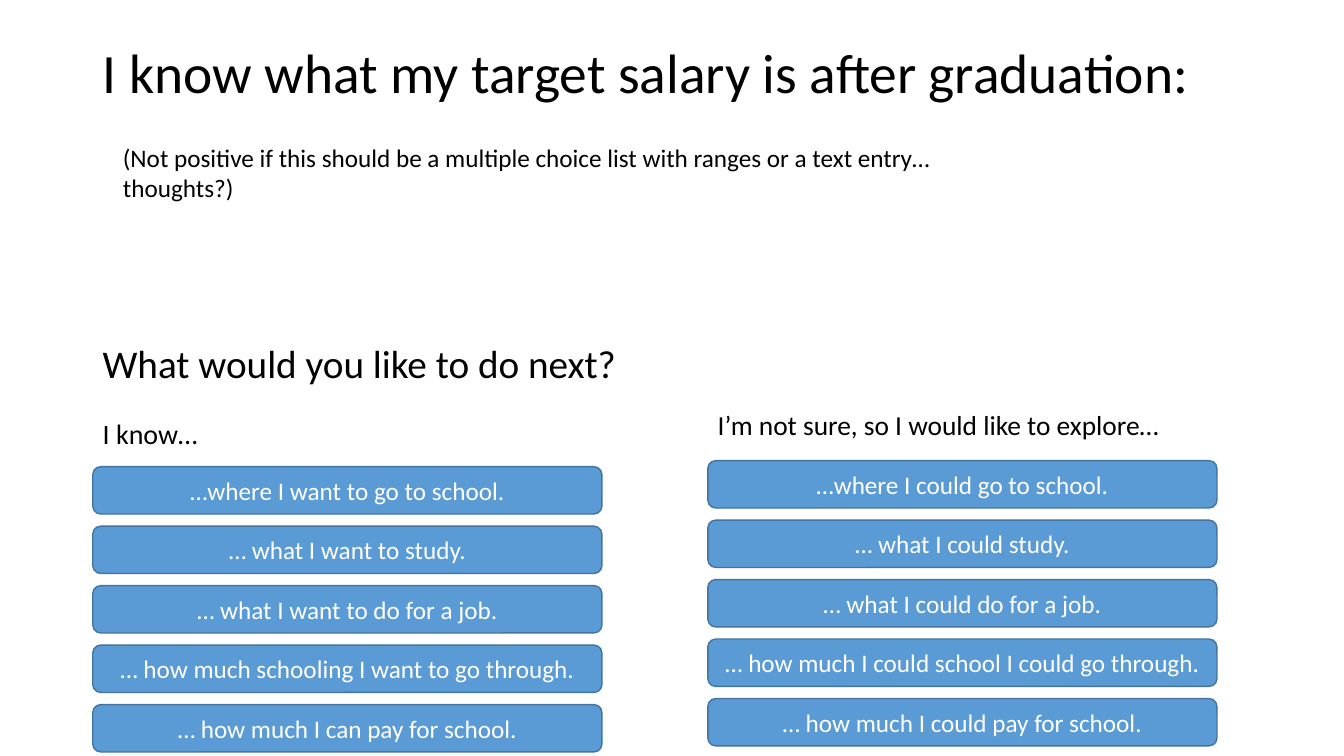
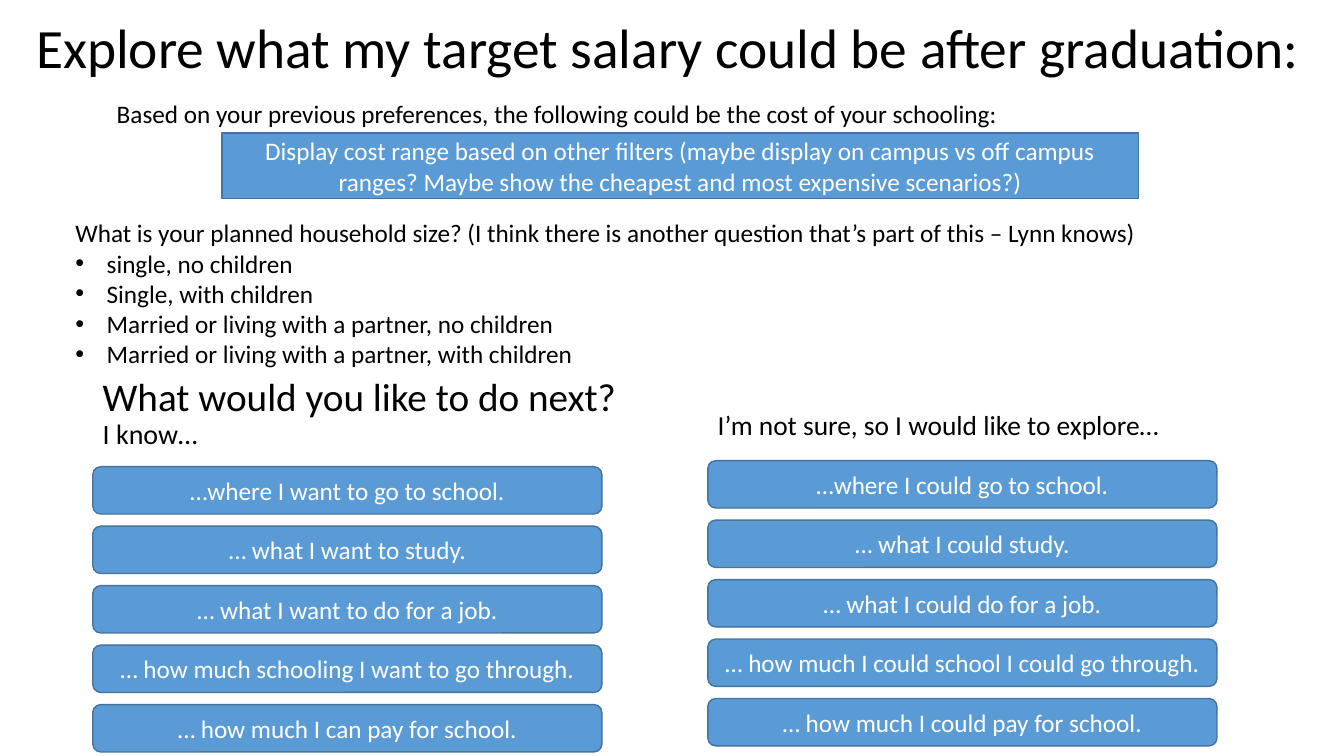
from dataclasses import dataclass

from lxml.etree import SubElement
from pptx import Presentation
from pptx.dml.color import RGBColor
from pptx.enum.shapes import MSO_SHAPE
from pptx.enum.text import MSO_ANCHOR, PP_ALIGN
from pptx.oxml.ns import qn
from pptx.util import Inches, Pt


@dataclass(frozen=True)
class Theme:
    """Colours, font and type sizes shared by the slides."""
    font: str = "Calibri"
    text: str = "000000"
    on_fill: str = "FFFFFF"
    fill: str = "5B9BD5"
    outline: str = "43739E"
    title: float = 39.6
    heading: float = 28
    know: float = 20
    explore: float = 19.6
    body: float = 18


THEME = Theme()

NEXT_HEADING = "What would you like to do next?"
KNOW_LABEL = "I know…"
EXPLORE_LABEL = "I’m not sure, so I would like to explore…"
KNOW_CHOICES = [
    "…where I want to go to school.",
    "… what I want to study.",
    "… what I want to do for a job.",
    "… how much schooling I want to go through.",
    "… how much I can pay for school.",
]
EXPLORE_CHOICES = [
    "…where I could go to school.",
    "… what I could study.",
    "… what I could do for a job.",
    "… how much I could school I could go through.",
    "… how much I could pay for school.",
]

KNOW_TITLE = "I know what my target salary is after graduation:"
ENTRY_NOTE = ("(Not positive if this should be a multiple choice list with "
              "ranges or a text entry… thoughts?)")

EXPLORE_TITLE = "Explore what my target salary could be after graduation:"
COST_INTRO = ("Based on your previous preferences, the following could be "
              "the cost of your schooling:")
COST_RANGE = ("Display cost range based on other filters (maybe display on "
              "campus vs off campus ranges? Maybe show the cheapest and most "
              "expensive scenarios?)")
HOUSEHOLD_QUESTION = ("What is your planned household size? (I think there is "
                      "another question that’s part of this – Lynn knows)")
HOUSEHOLD_OPTIONS = [
    "single, no children",
    "Single, with children",
    "Married or living with a partner, no children",
    "Married or living with a partner, with children",
]

LEFT_COLUMN, RIGHT_COLUMN = 0.92, 7.02
LABEL_SIZE = (4.69, 0.51)
BUTTON_SIZE = (5.05, 0.47)
BUTTON_STEP = 0.59
BULLET_INDENT = 0.31


def add_span(para, text, size, color):
    """Add one run of text in the theme font."""
    span = para.add_run()
    span.text = text
    span.font.name = THEME.font
    span.font.size = Pt(size)
    span.font.color.rgb = RGBColor.from_string(color)


def add_text(page, place, text, size, spacing=None, before=None,
             anchor=MSO_ANCHOR.TOP):
    """Add a wrapping text box with one paragraph; return its frame."""
    frame = page.shapes.add_textbox(*map(Inches, place)).text_frame
    frame.word_wrap = True
    frame.vertical_anchor = anchor
    para = frame.paragraphs[0]
    if spacing:
        para.line_spacing = spacing
    if before:
        para.space_before = Pt(before)
    add_span(para, text, size, THEME.text)
    return frame


def add_bullet(frame, text):
    """Append a bulleted paragraph to a text frame."""
    para = frame.add_paragraph()
    properties = para._p.get_or_add_pPr()
    properties.set("marL", str(Inches(BULLET_INDENT)))
    properties.set("indent", str(-Inches(BULLET_INDENT)))
    SubElement(properties, qn("a:buFont")).set("typeface", "Arial")
    SubElement(properties, qn("a:buChar")).set("char", "•")
    add_span(para, text, THEME.body, THEME.text)


def add_panel(page, preset, place, text):
    """Add a filled shape with centred text."""
    box = page.shapes.add_shape(preset, *map(Inches, place))
    box.shadow.inherit = False
    box.fill.solid()
    box.fill.fore_color.rgb = RGBColor.from_string(THEME.fill)
    box.line.color.rgb = RGBColor.from_string(THEME.outline)
    box.line.width = Pt(1)
    box.text_frame.word_wrap = True
    box.text_frame.vertical_anchor = MSO_ANCHOR.MIDDLE
    para = box.text_frame.paragraphs[0]
    para.alignment = PP_ALIGN.CENTER
    add_span(para, text, THEME.body, THEME.on_fill)


def add_buttons(page, left, top, choices):
    """Stack a column of equally spaced buttons."""
    for row, choice in enumerate(choices):
        place = (left, top + row * BUTTON_STEP, *BUTTON_SIZE)
        add_panel(page, MSO_SHAPE.ROUNDED_RECTANGLE, place, choice)


def add_page(deck, title, title_place, heading_top):
    """Add a slide with its title and the shared next-step choices."""
    page = deck.slides.add_slide(deck.slide_layouts[6])
    add_text(page, title_place, title, THEME.title, 0.9,
             anchor=MSO_ANCHOR.MIDDLE)
    add_text(page, (LEFT_COLUMN, heading_top, 11.5, 0.67), NEXT_HEADING,
             THEME.heading, 0.9, 10)
    add_text(page, (LEFT_COLUMN, 4.12, *LABEL_SIZE), KNOW_LABEL,
             THEME.know, 0.9, 10)
    add_text(page, (RIGHT_COLUMN, 4.09, *LABEL_SIZE), EXPLORE_LABEL,
             THEME.explore, 0.7, 10)
    add_buttons(page, LEFT_COLUMN, 4.63, KNOW_CHOICES)
    add_buttons(page, RIGHT_COLUMN, 4.57, EXPLORE_CHOICES)
    return page


def build_know_page(deck):
    """Build the slide for a known target salary."""
    page = add_page(deck, KNOW_TITLE, (0.92, 0.4, 11.5, 0.69), 3.37)
    add_text(page, (1.12, 1.36, 8.39, 0.71), ENTRY_NOTE, THEME.body)


def build_explore_page(deck):
    """Build the slide for exploring a target salary."""
    page = add_page(deck, EXPLORE_TITLE, (0.26, -0.04, 12.94, 1.09), 3.7)
    household = add_text(page, (0.65, 2.11, 10.86, 1.62),
                         HOUSEHOLD_QUESTION, THEME.body)
    for option in HOUSEHOLD_OPTIONS:
        add_bullet(household, option)
    add_text(page, (1.06, 0.93, 10.13, 0.4), COST_INTRO, THEME.body)
    add_panel(page, MSO_SHAPE.RECTANGLE, (2.2, 1.32, 9.09, 0.65), COST_RANGE)


def main():
    """Build and save the deck."""
    deck = Presentation()
    deck.slide_width, deck.slide_height = Inches(13.33), Inches(7.5)
    build_know_page(deck)
    build_explore_page(deck)
    deck.save("out.pptx")


main()
